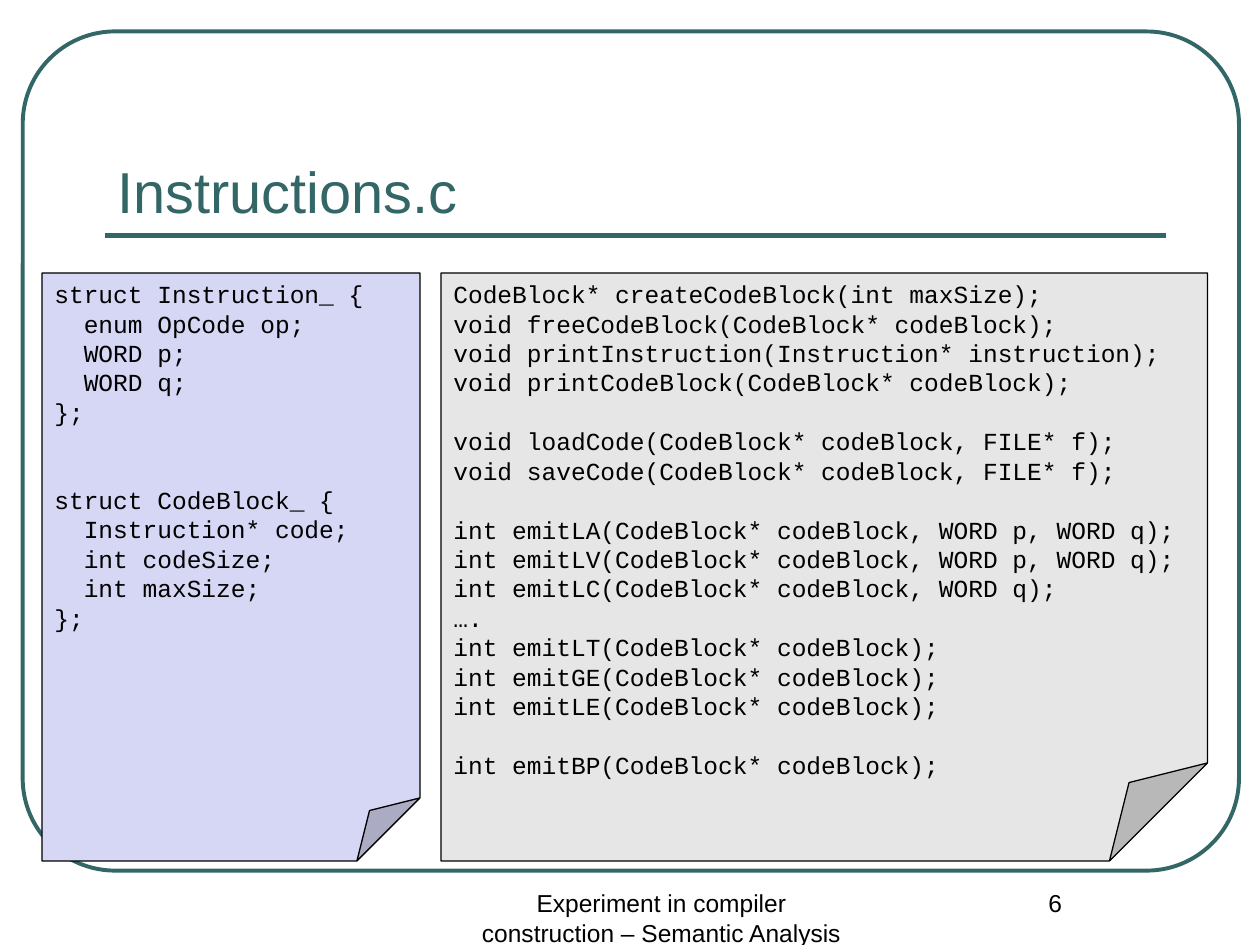
"""Build the Instructions.c slide with two code notes inside a rounded frame."""
from pptx import Presentation
from pptx import util as u
from pptx.dml.color import RGBColor
from pptx.enum import shapes, text
from pptx.oxml.ns import qn
from lxml import etree

COLORS = {"teal": "336666", "black": "000000", "lilac": "D6D6F5", "grey": "E6E6E6"}
LINE_GAP = 16.8

STRUCTS = [
    ["struct Instruction_ {", "  enum OpCode op;", "  WORD p;", "  WORD q;", "};"],
    ["struct CodeBlock_ {", "  Instruction* code;", "  int codeSize;", "  int maxSize;", "};"],
]
FUNCTIONS = [
    ["CodeBlock* createCodeBlock(int maxSize);",
     "void freeCodeBlock(CodeBlock* codeBlock);",
     "void printInstruction(Instruction* instruction);",
     "void printCodeBlock(CodeBlock* codeBlock);"],
    ["void loadCode(CodeBlock* codeBlock, FILE* f);",
     "void saveCode(CodeBlock* codeBlock, FILE* f);"],
    ["int emitLA(CodeBlock* codeBlock, WORD p, WORD q);",
     "int emitLV(CodeBlock* codeBlock, WORD p, WORD q);",
     "int emitLC(CodeBlock* codeBlock, WORD q);",
     "….",
     "int emitLT(CodeBlock* codeBlock);",
     "int emitGE(CodeBlock* codeBlock);",
     "int emitLE(CodeBlock* codeBlock);"],
    ["int emitBP(CodeBlock* codeBlock);"],
]
NOTES = [
    (24, 216, "lilac", STRUCTS, 2),
    (252, 438, "grey", FUNCTIONS, 1),
]
LEFT, CENTER = text.PP_ALIGN.LEFT, text.PP_ALIGN.CENTER
TOP, BOTTOM = text.MSO_ANCHOR.TOP, text.MSO_ANCHOR.BOTTOM
LABELS = [
    ((60, 42, 606, 90), "Instructions.c", 33, "teal", LEFT, BOTTOM),
    ((264, 504, 228, 36), "Experiment in compiler construction – Semantic Analysis",
     14, "black", CENTER, TOP),
    ((540, 504, 126, 36), "6", 14, "black", CENTER, TOP),
]


def rgb(name):
    return RGBColor.from_string(COLORS[name])


def points(box):
    return [u.Pt(v) for v in box]


def set_line(sp, color, width):
    sp.line.color.rgb = rgb(color)
    sp.line.width = u.Pt(width)


def add_run(p, words, size, font, color):
    r = p.add_run()
    r.text = words
    r.font.size = u.Pt(size)
    r.font.name = font
    r.font.color.rgb = rgb(color)


def add_frame(s):
    sp = s.shapes.add_shape(shapes.MSO_SHAPE.ROUNDED_RECTANGLE, *points((13, 18, 695, 479.5)))
    sp.adjustments[0] = 0.11
    sp.shadow.inherit = False
    sp.fill.background()
    set_line(sp, "teal", 2.25)
    rule = s.shapes.add_connector(shapes.MSO_CONNECTOR.STRAIGHT, *points((60, 134.5, 666, 134.5)))
    set_line(rule, "teal", 3)
    etree.SubElement(rule._element.spPr, qn("a:effectLst"))


def add_label(s, box, words, size, color, align, anchor):
    tf = s.shapes.add_textbox(*points(box)).text_frame
    tf.word_wrap = True
    tf.vertical_anchor = anchor
    p = tf.paragraphs[0]
    p.alignment = align
    add_run(p, words, size, "Arial", color)


def add_note(s, left, width, fill, groups, gap_lines):
    sp = s.shapes.add_shape(shapes.MSO_SHAPE.FOLDED_CORNER, *points((left, 156, width, 336)))
    sp.shadow.inherit = False
    sp.fill.solid()
    sp.fill.fore_color.rgb = rgb(fill)
    set_line(sp, "black", 0.75)
    tf = sp.text_frame
    tf.word_wrap = True
    tf.vertical_anchor = TOP
    for g, group in enumerate(groups):
        for i, code in enumerate(group):
            first = g == 0 and i == 0
            p = tf.paragraphs[0] if first else tf.add_paragraph()
            p.alignment = LEFT
            p.line_spacing = u.Pt(LINE_GAP)
            if g and i == 0:
                p.space_before = u.Pt(gap_lines * LINE_GAP)
            add_run(p, code, 14, "Courier New", "black")


def main():
    prs = Presentation()
    prs.slide_width, prs.slide_height = u.Pt(720), u.Pt(540)
    s = prs.slides.add_slide(prs.slide_layouts[6])
    add_frame(s)
    for label in LABELS:
        add_label(s, *label)
    for note in NOTES:
        add_note(s, *note)
    prs.save("out.pptx")


if __name__ == "__main__":
    main()
